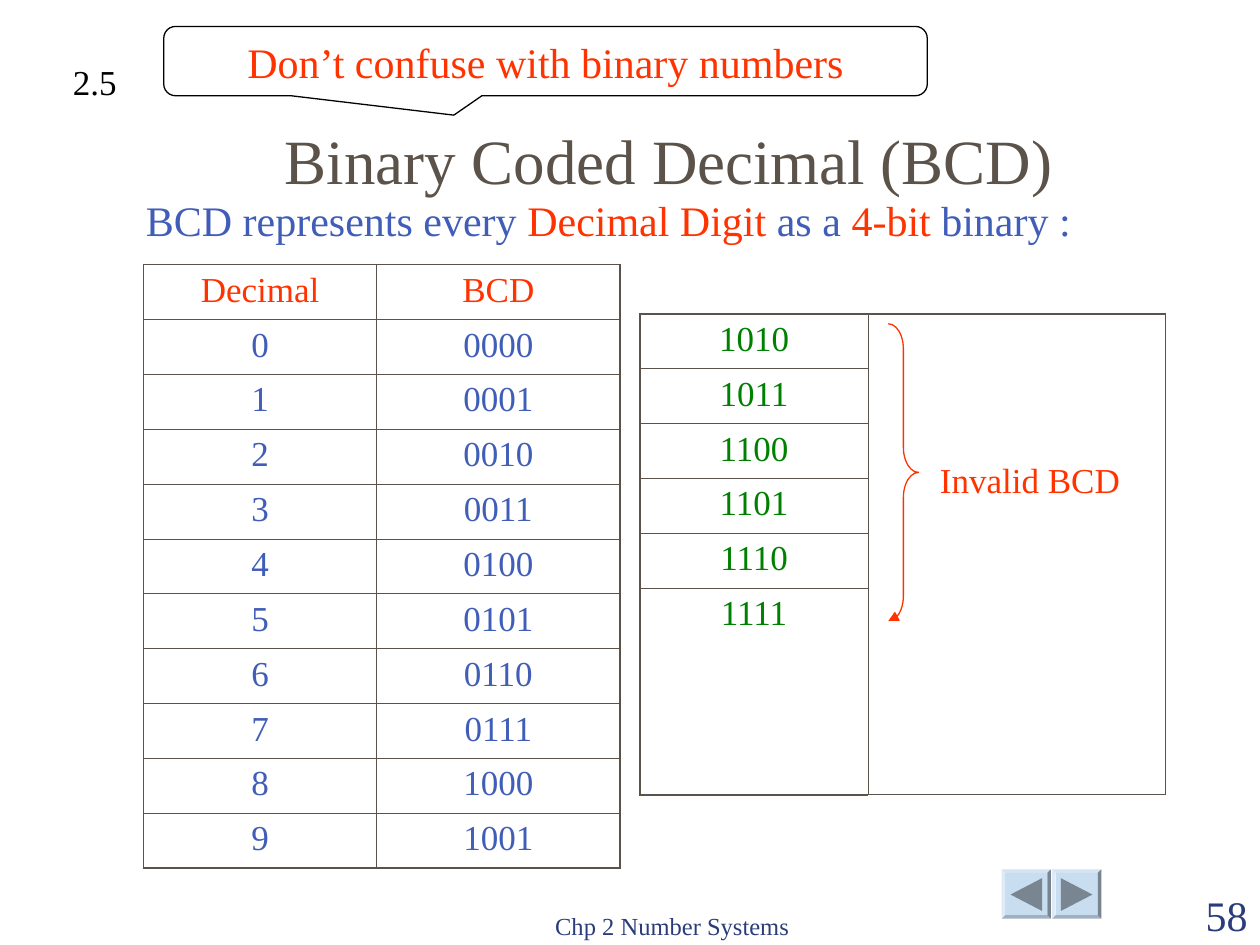
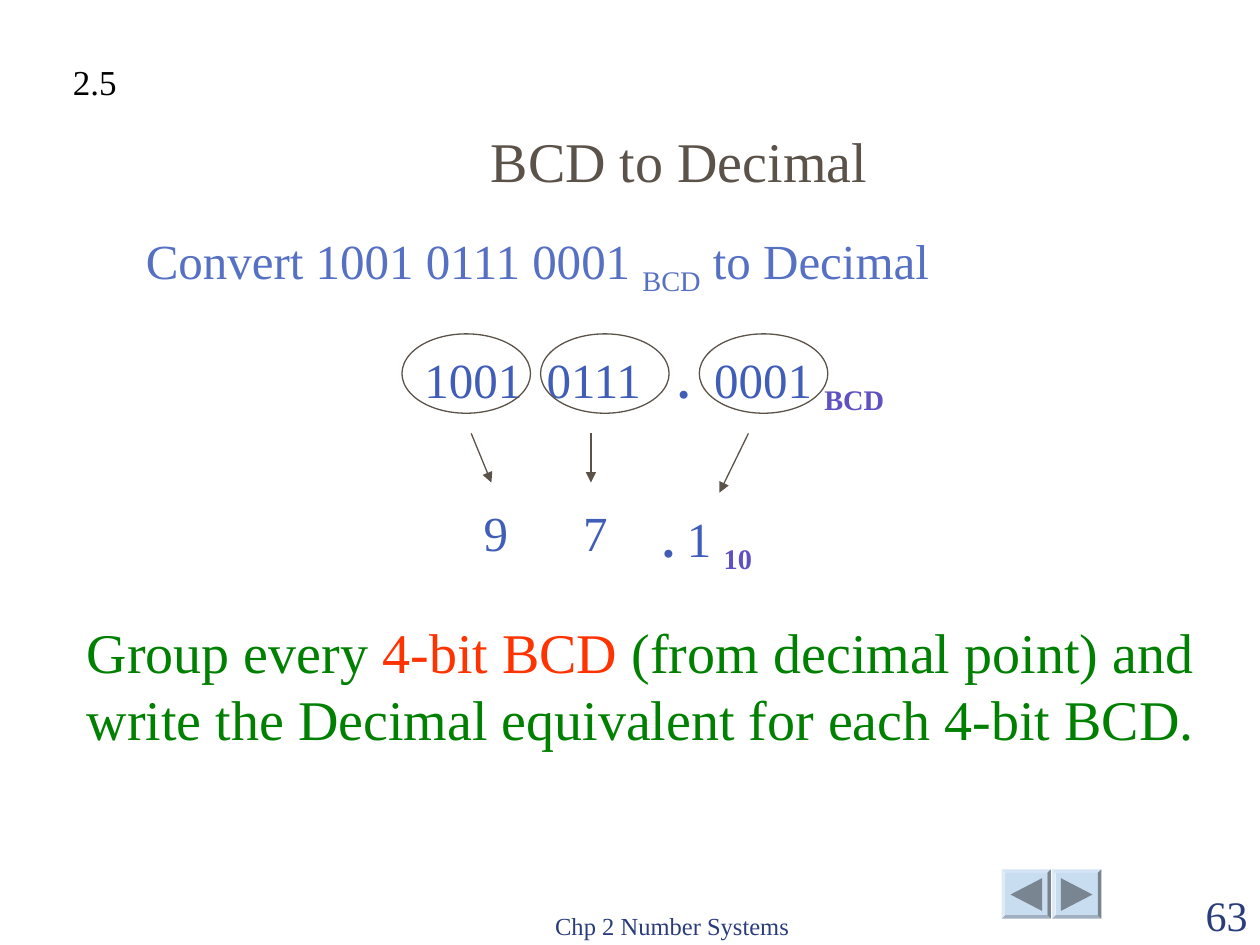
from lxml.etree import SubElement
from pptx import Presentation
from pptx.dml.color import RGBColor
from pptx.enum.shapes import MSO_CONNECTOR, MSO_SHAPE
from pptx.enum.text import MSO_ANCHOR, PP_ALIGN
from pptx.oxml.ns import qn
from pptx.util import Inches, Pt

FONT = "Times New Roman"
BROWN = RGBColor(0x5B, 0x52, 0x49)
NAVY = RGBColor(0x2A, 0x3D, 0x7A)
BLUE = RGBColor(0x40, 0x5D, 0xB8)
LIGHT_BLUE = RGBColor(0x56, 0x70, 0xC4)
PURPLE = RGBColor(0x5E, 0x51, 0xC1)
RED = RGBColor(0xFF, 0x33, 0x00)
GREEN = RGBColor(0x00, 0x80, 0x00)
BLACK = RGBColor(0, 0, 0)
BUTTON = RGBColor(0xC9, 0xDD, 0xF1)
BUTTON_ARROW = RGBColor(0x79, 0x85, 0x91)
OUTER_BORDER = Pt(1.08)
INNER_BORDER = Pt(0.45)
ROW_HEIGHT = Inches(4.79) // 11


def write_text(frame, text, size=20, color=BLACK, align=PP_ALIGN.LEFT,
               anchor=MSO_ANCHOR.TOP, line_spacing=None, wrap=True, tabs=()):
    frame.word_wrap = wrap
    frame.vertical_anchor = anchor
    paragraph = frame.paragraphs[0]
    paragraph.alignment = align
    if tabs:
        tab_list = SubElement(paragraph._p.get_or_add_pPr(), qn("a:tabLst"))
        for position in tabs:
            SubElement(tab_list, qn("a:tab"), pos=str(Inches(position)), algn="l")
    if line_spacing:
        paragraph.line_spacing = line_spacing
    pieces = [(text, {})] if isinstance(text, str) else text
    for words, changes in pieces:
        run = paragraph.add_run()
        run.text = words
        run.font.name = FONT
        run.font.size = Pt(size)
        run.font.bold = changes.get("bold", False)
        run.font.color.rgb = changes.get("color", color)
        if changes.get("subscript"):
            run._r.get_or_add_rPr().set("baseline", "-25000")


def add_text(slide, left, top, width, height, text, **text_format):
    box = slide.shapes.add_textbox(Inches(left), Inches(top), Inches(width), Inches(height))
    write_text(box.text_frame, text, **text_format)


def add_outline(slide, kind, left, top, width, height, color, adjustments=()):
    shape = slide.shapes.add_shape(kind, Inches(left), Inches(top), Inches(width), Inches(height))
    shape.shadow.inherit = False
    shape.fill.background()
    shape.line.color.rgb = color
    shape.line.width = Pt(0.75)
    for index, value in enumerate(adjustments):
        shape.adjustments[index] = value
    return shape


def add_arrowhead(shape):
    SubElement(shape.line._get_or_add_ln(), qn("a:tailEnd"), type="triangle")


def add_arrow(slide, start, end):
    connector = slide.shapes.add_connector(
        MSO_CONNECTOR.STRAIGHT, *(Inches(value) for value in (*start, *end)))
    connector.line.color.rgb = BROWN
    connector.line.width = Pt(0.75)
    add_arrowhead(connector)
    SubElement(connector._element.spPr, qn("a:effectLst"))


def add_button(slide, left, tip, base):
    button = add_outline(slide, MSO_SHAPE.BEVEL, left, 6.9, 0.39, 0.39, BUTTON, [0.07])
    button.fill.solid()
    button.fill.fore_color.rgb = BUTTON
    button.line.fill.background()
    builder = slide.shapes.build_freeform(Inches(left + tip), Inches(7.1))
    builder.add_line_segments(
        [(Inches(left + base), Inches(6.97)), (Inches(left + base), Inches(7.23))])
    triangle = builder.convert_to_shape()
    triangle.shadow.inherit = False
    triangle.fill.solid()
    triangle.fill.fore_color.rgb = BUTTON_ARROW
    triangle.line.fill.background()


def add_frame(slide, number):
    add_button(slide, 7.95, 0.07, 0.32)
    add_button(slide, 8.35, 0.32, 0.07)
    add_text(slide, 3.75, 7.01, 3.17, 0.5, "Chp 2 Number Systems", size=14, color=NAVY,
             align=PP_ALIGN.CENTER, anchor=MSO_ANCHOR.BOTTOM)
    add_text(slide, 9, 7.01, 1, 0.5, number, size=24, color=NAVY,
             align=PP_ALIGN.RIGHT, anchor=MSO_ANCHOR.BOTTOM)
    add_text(slide, 0.48, 0.43, 0.55, 0.44, "2.5", wrap=False)


def add_title(slide, left, top, height, text, size):
    add_text(slide, left, top, 8.5, height, text, size=size, color=BROWN,
             align=PP_ALIGN.CENTER, anchor=MSO_ANCHOR.BOTTOM)


def style_cell(cell, outer_sides):
    properties = cell._tc.get_or_add_tcPr()
    for side in "LRTB":
        width = OUTER_BORDER if side in outer_sides else INNER_BORDER
        border = SubElement(properties, qn(f"a:ln{side}"), w=str(int(width)))
        fill = SubElement(border, qn("a:solidFill"))
        SubElement(fill, qn("a:srgbClr"), val=str(BROWN))
    cell.fill.background()


def add_grid(slide, left, top, column_widths, row_count):
    table = slide.shapes.add_table(
        row_count, len(column_widths), Inches(left), Inches(top),
        Inches(sum(column_widths)), ROW_HEIGHT * row_count).table
    table.first_row = False
    table.horz_banding = False
    for column, width in zip(table.columns, column_widths):
        column.width = Inches(width)
    for row in range(row_count):
        for column in range(len(column_widths)):
            edges = {"L": column == 0, "R": column == len(column_widths) - 1,
                     "T": row == 0, "B": row == row_count - 1}
            style_cell(table.cell(row, column), [side for side in edges if edges[side]])
    return table


def add_digit_table(slide):
    rows = [("Decimal", "BCD")] + [(str(digit), f"{digit:04b}") for digit in range(10)]
    table = add_grid(slide, 1.14, 2.1, (1.85, 1.93), len(rows))
    for row, values in enumerate(rows):
        for column, value in enumerate(values):
            write_text(table.cell(row, column).text_frame, value,
                       color=BLUE if row else RED, align=PP_ALIGN.CENTER)


def add_invalid_table(slide):
    codes = [f"{value:04b}" for value in range(10, 16)]
    table = add_grid(slide, 5.08, 2.49, (1.81, 2.36), len(codes))
    table.rows[len(codes) - 1].height = Inches(1.64)
    for row, code in enumerate(codes):
        write_text(table.cell(row, 0).text_frame, code, color=GREEN, align=PP_ALIGN.CENTER)
    label = table.cell(0, 1)
    label.merge(table.cell(len(codes) - 1, 1))
    label.margin_top = Inches(1.18)
    label.margin_left = Inches(0.31)
    write_text(label.text_frame, "Invalid BCD", color=RED, align=PP_ALIGN.CENTER)


def build_bcd_slide(slide):
    add_frame(slide, "58")
    add_title(slide, 1.06, 1.07, 0.54, "Binary Coded Decimal (BCD)", 36)
    add_text(slide, 1.06, 1.54, 8.48, 0.51,
             [("BCD represents every ", {}), ("Decimal Digit", {"color": RED}),
              (" as a ", {}), ("4-bit", {"color": RED}), (" binary :", {})],
             size=24, color=BLUE, line_spacing=0.9)
    add_digit_table(slide)
    callout = add_outline(slide, MSO_SHAPE.ROUNDED_RECTANGULAR_CALLOUT,
                          1.3, 0.21, 6.06, 0.55, BLACK, [-0.12, 0.78, 0.17])
    write_text(callout.text_frame, "Don’t confuse with binary numbers", size=24, color=RED,
               align=PP_ALIGN.CENTER)
    add_invalid_table(slide)
    brace = add_outline(slide, MSO_SHAPE.RIGHT_BRACE, 7.05, 2.57, 0.24, 2.36, RED, [0.83, 0.5])
    add_arrowhead(brace)


def build_conversion_slide(slide):
    add_frame(slide, "63")
    add_title(slide, 1.14, 0.84, 0.75, "BCD to Decimal", 32)
    add_text(slide, 1.06, 1.78, 8.33, 0.67,
             [("Convert 1001 0111 0001 ", {}), ("BCD", {"subscript": True}),
              (" to Decimal", {})], size=28, color=LIGHT_BLUE)
    digit_format = {"size": 28, "color": BLUE, "line_spacing": 0.9}
    point = (".", {"bold": True})
    base = {"color": PURPLE, "bold": True, "subscript": True}
    add_text(slide, 3.27, 2.73, 4.41, 0.58,
             [("1001\t0111\t", {}), point, ("\t0001 ", {}), ("BCD", base)],
             tabs=(0.97, 2.01, 2.3), **digit_format)
    for left in (3.19, 4.29, 5.55):
        add_outline(slide, MSO_SHAPE.OVAL, left, 2.65, 1.02, 0.63, BROWN)
    for start, end in (((3.74, 3.44), (3.9, 3.83)), ((4.69, 3.44), (4.69, 3.83)),
                       ((5.94, 3.44), (5.71, 3.91))):
        add_arrow(slide, start, end)
    for left, digit in ((3.74, "9"), (4.53, "7")):
        add_text(slide, left, 3.99, 0.47, 0.52, digit, **digit_format)
    add_text(slide, 5.16, 3.99, 1.1, 0.58, [point, (" 1 ", {}), ("10", base)], **digit_format)
    add_text(slide, 0.59, 4.85, 9.06, 1.18,
             [("Group every ", {}), ("4-bit BCD", {"color": RED}),
              (" (from decimal point) and write the Decimal equivalent for each 4-bit BCD.", {})],
             size=32, color=GREEN)


def main():
    presentation = Presentation()
    presentation.slide_width = Inches(10)
    presentation.slide_height = Inches(7.5)
    for build_slide in (build_bcd_slide, build_conversion_slide):
        build_slide(presentation.slides.add_slide(presentation.slide_layouts[6]))
    presentation.save("out.pptx")


if __name__ == "__main__":
    main()
